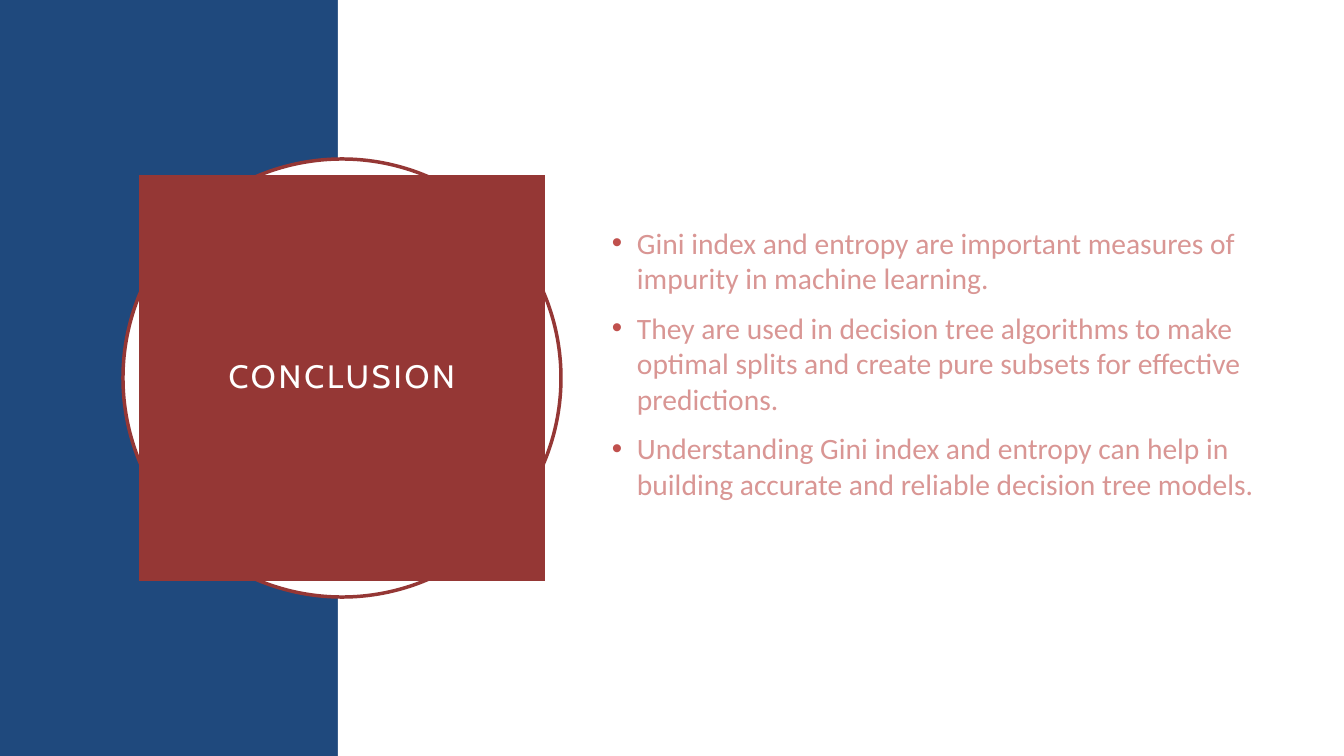
from lxml import etree
from pptx import Presentation
from pptx.dml.color import RGBColor
from pptx.enum.shapes import MSO_SHAPE
from pptx.enum.text import MSO_ANCHOR, MSO_AUTO_SIZE, PP_ALIGN
from pptx.oxml.ns import qn
from pptx.util import Emu, Pt

RECT = MSO_SHAPE.RECTANGLE
OVAL = MSO_SHAPE.OVAL
MIDDLE = MSO_ANCHOR.MIDDLE
FIXED = MSO_AUTO_SIZE.NONE
LEFT = PP_ALIGN.LEFT
CENTER = PP_ALIGN.CENTER

NAVY = RGBColor(0x1F, 0x49, 0x7D)
WHITE = RGBColor(0xFF, 0xFF, 0xFF)
BRICK = RGBColor(0x95, 0x37, 0x35)
RED = RGBColor(0xC0, 0x50, 0x4D)
ROSE = RGBColor(0xD9, 0x96, 0x94)

WIDE, HIGH, SPLIT = 1344, 756, 338
POINTS = [
    "Gini index and entropy are important measures of impurity in machine learning.",
    "They are used in decision tree algorithms to make optimal splits and create pure subsets for effective predictions.",
    "Understanding Gini index and entropy can help in building accurate and reliable decision tree models.",
]


def px(n):
    return Emu(round(n * 12192000 / WIDE))


def add_form(slide, kind, box, fill, line=None):
    form = slide.shapes.add_shape(kind, *map(px, box))
    form.shadow.inherit = False
    form.fill.solid()
    form.fill.fore_color.rgb = fill
    if line:
        form.line.color.rgb = line
        form.line.width = Pt(2.5)
    else:
        form.line.fill.background()


def place(slide, holder, box, pads):
    holder.left, holder.top, holder.width, holder.height = map(px, box)
    frame = holder.text_frame
    frame.margin_left, frame.margin_top, frame.margin_right, frame.margin_bottom = map(px, pads)
    frame.vertical_anchor = MIDDLE
    frame.word_wrap = True
    frame.auto_size = FIXED
    slide.shapes._spTree.append(holder._element)
    return frame


def write(para, text, font, size, color, align=LEFT, before=0, lead=1.0, track=0):
    para.alignment = align
    para.space_before = Pt(before)
    para.line_spacing = lead
    run = para.add_run()
    run.text = text
    run.font.name = font
    run.font.size = Pt(size)
    run.font.color.rgb = color
    if track:
        run._r.get_or_add_rPr().set("spc", str(track * 100))


def add_dot(para, color, indent):
    props = para._p.get_or_add_pPr()
    props.set("marL", str(px(indent)))
    props.set("indent", str(-px(indent)))
    tint = etree.SubElement(props, qn("a:buClr"))
    etree.SubElement(tint, qn("a:srgbClr"), val=str(color))
    etree.SubElement(props, qn("a:buFont"), typeface="Arial")
    etree.SubElement(props, qn("a:buChar"), char="•")


def main():
    deck = Presentation()
    deck.slide_width, deck.slide_height = px(WIDE), px(HIGH)
    slide = deck.slides.add_slide(deck.slide_layouts[1])
    title, body = slide.placeholders

    add_form(slide, RECT, (0, 0, SPLIT, HIGH), NAVY)
    add_form(slide, RECT, (SPLIT, 0, WIDE - SPLIT, HIGH), WHITE)
    add_form(slide, OVAL, (123, 159, 438, 438), WHITE, BRICK)

    title.fill.solid()
    title.fill.fore_color.rgb = BRICK
    frame = place(slide, title, (139, 175, 406, 406), (20, 20, 20, 20))
    write(frame.paragraphs[0], "CONCLUSION", "Cabin", 23.1, WHITE,
          align=CENTER, lead=0.9, track=2)

    frame = place(slide, body, (602, 123, 702, 551), (10, 5, 10, 76))
    for i, text in enumerate(POINTS):
        para = frame.add_paragraph() if i else frame.paragraphs[0]
        write(para, text, "Calibri", 21.1, ROSE, before=10)
        add_dot(para, RED, 25)

    deck.save("out.pptx")


if __name__ == "__main__":
    main()
